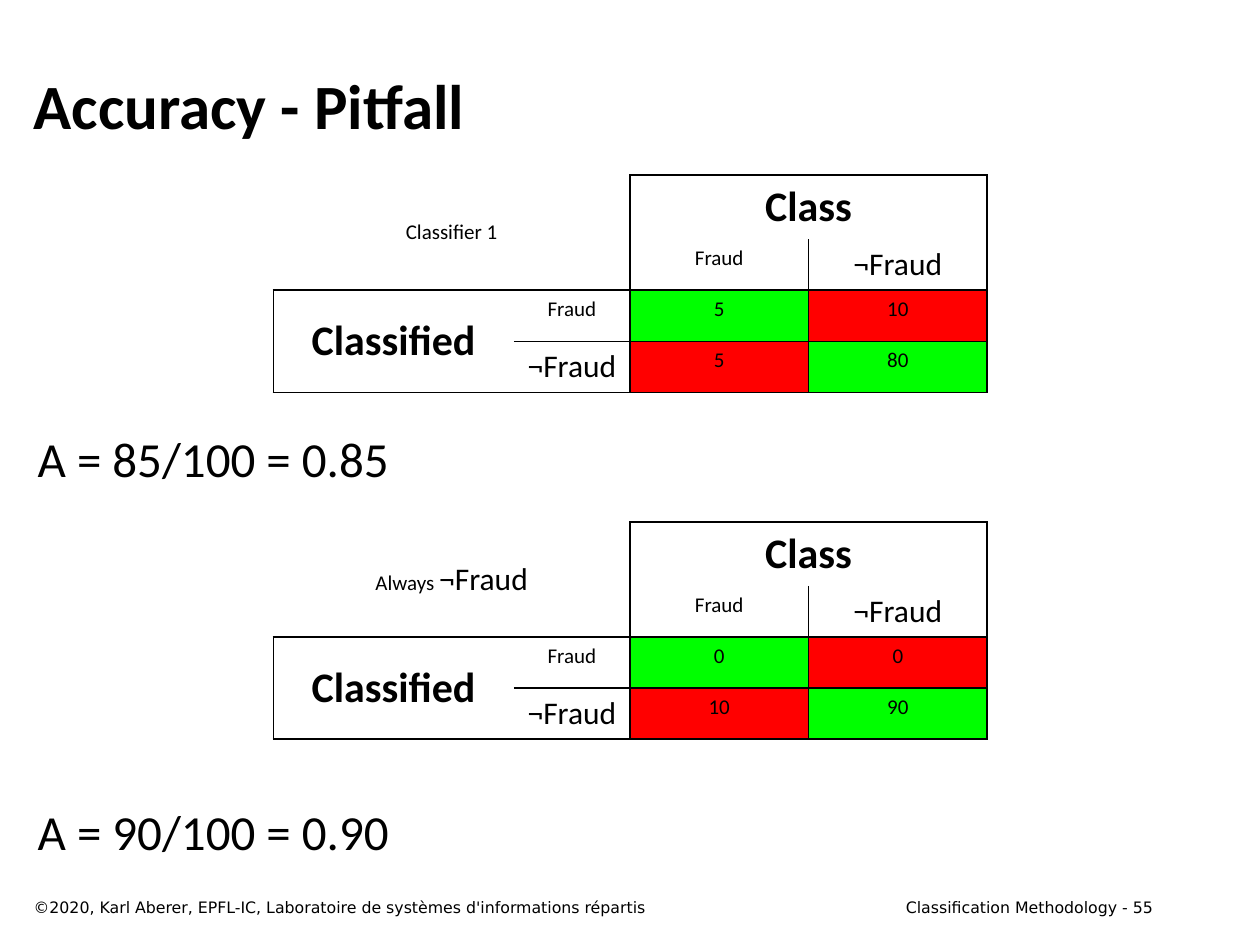
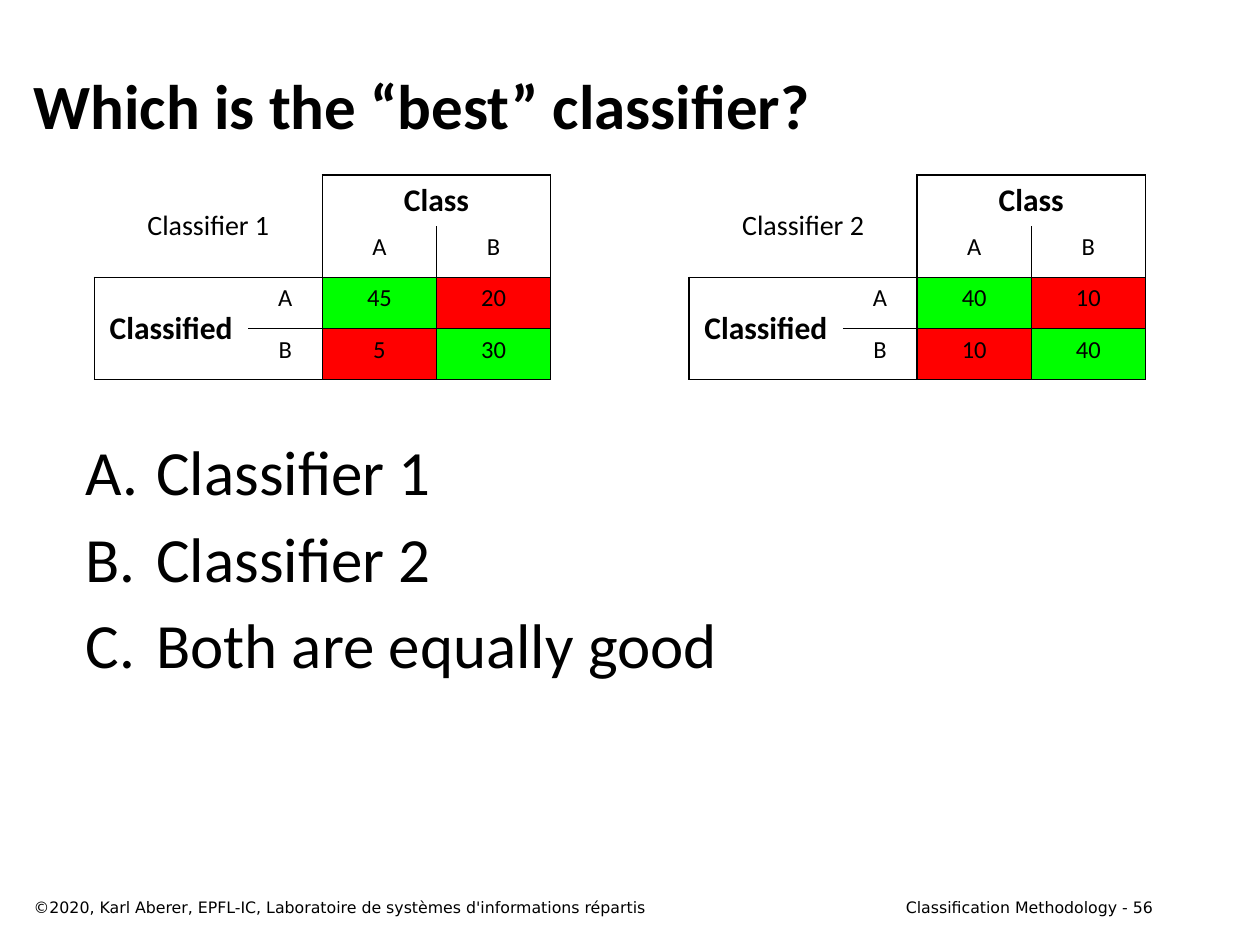
from dataclasses import dataclass
from typing import Any

from lxml.etree import SubElement
from pptx import Presentation
from pptx.dml.color import RGBColor
from pptx.enum.text import MSO_VERTICAL_ANCHOR as Anchor, PP_PARAGRAPH_ALIGNMENT as Align
from pptx.oxml.ns import qn
from pptx.util import Cm, Pt

BLACK = RGBColor(0x00, 0x00, 0x00)
GREEN = RGBColor(0x00, 0xFF, 0x00)
RED = RGBColor(0xFF, 0x00, 0x00)

TITLE_FORMAT = {"name": "Calibri", "size": Pt(36), "bold": True}
RESULT_FORMAT = {"name": "Calibri", "size": Pt(28)}
CHOICE_FORMAT = {"name": "Calibri", "size": Pt(36)}
FOOTER_FORMAT = {"name": "DejaVu Sans", "size": Pt(9)}

COPYRIGHT = "©2020, Karl Aberer, EPFL-IC, Laboratoire de systèmes d'informations répartis"
BLANK_LAYOUT = 6
ROW_HEIGHT = 1.03
NEGATION = "¬"
BORDER_SIDES = (
    ("rb", "rb", "ltr", "tr"),
    ("b", "rb", "lrb", "lrb"),
    ("ltb", "trb", "lrtb", "lrtb"),
    ("lb", "trb", "lrtb", "lrtb"),
)


@dataclass(frozen=True)
class Box:
    """Position and size in centimetres."""

    left: float
    top: float
    width: float
    height: float

    def lengths(self) -> tuple[Cm, ...]:
        """Return the four lengths for a shape call."""
        return tuple(Cm(value) for value in (self.left, self.top, self.width, self.height))


@dataclass(frozen=True)
class MatrixStyle:
    """Column widths, first row height and text sizes of a confusion matrix."""

    widths: tuple[float, ...]
    header_height: float
    name_size: int
    heading_size: int
    label_size: int
    negated_size: int


@dataclass(frozen=True)
class Matrix:
    """One classifier's confusion matrix."""

    name: str
    left: float
    top: float
    labels: tuple[str, str]
    counts: tuple[tuple[int, int], tuple[int, int]]
    style: MatrixStyle


TITLE_BOX = Box(0.43, 0.84, 23.06, 2.54)
COPYRIGHT_BOX = Box(0.43, 17.98, 16.31, 0.64)
PAGE_BOX = Box(17.7, 17.98, 5.79, 0.64)
CHOICES_BOX = Box(0.51, 8.59, 23.06, 9.1)

LARGE = MatrixStyle((4.85, 2.34, 3.6, 3.6), 1.29, 12, 24, 12, 18)
SMALL = MatrixStyle((3.1, 1.5, 2.3, 2.3), ROW_HEIGHT, 16, 18, 14, 14)

FRAUD_LABELS = ("Fraud", "¬Fraud")
PITFALL_MATRICES = (
    Matrix("Classifier 1", 5.51, 3.53, FRAUD_LABELS, ((5, 10), (5, 80)), LARGE),
    Matrix("Always ¬Fraud", 5.51, 10.52, FRAUD_LABELS, ((0, 0), (10, 90)), LARGE),
)
CHOICE_MATRICES = (
    Matrix("Classifier 1", 1.9, 3.53, ("A", "B"), ((45, 20), (5, 30)), SMALL),
    Matrix("Classifier 2", 13.89, 3.53, ("A", "B"), ((40, 10), (10, 40)), SMALL),
)
RESULTS = (("A = 85/100 = 0.85", 8.51), ("A = 90/100 = 0.90", 16.03))
CHOICES = ("Classifier 1", "Classifier 2", "Both are equally good")


def apply_format(target: Any, values: dict[str, Any]) -> None:
    """Set each named attribute on the target."""
    for name, value in values.items():
        setattr(target, name, value)


def add_run(paragraph: Any, text: str, font_format: dict[str, Any]) -> None:
    """Append a black run in the given format."""
    run = paragraph.add_run()
    run.text = text
    apply_format(run.font, font_format)
    run.font.color.rgb = BLACK


def add_text(slide: Any, box: Box, text: str, font_format: dict[str, Any],
             align: Align = Align.LEFT, anchor: Anchor = Anchor.TOP) -> None:
    """Add a wrapped text box with one paragraph."""
    frame = slide.shapes.add_textbox(*box.lengths()).text_frame
    apply_format(frame, {"word_wrap": True, "vertical_anchor": anchor})
    paragraph = frame.paragraphs[0]
    paragraph.alignment = align
    add_run(paragraph, text, font_format)


def add_choices(slide: Any, choices: tuple[str, ...]) -> None:
    """Add the lettered answers."""
    frame = slide.shapes.add_textbox(*CHOICES_BOX.lengths()).text_frame
    frame.word_wrap = True
    for index, choice in enumerate(choices):
        paragraph = frame.add_paragraph() if index else frame.paragraphs[0]
        properties = paragraph._p.get_or_add_pPr()
        properties.set("marL", str(Cm(2.39)))
        properties.set("indent", str(Cm(-1.42)))
        if index:
            paragraph.space_before = Pt(6.4)
        SubElement(properties, qn("a:buFont"), typeface="Calibri")
        SubElement(properties, qn("a:buAutoNum"), type="alphaUcPeriod")
        add_run(paragraph, choice, CHOICE_FORMAT)


def set_borders(cell: Any, sides: str) -> None:
    """Draw the listed sides of a cell and clear the others."""
    properties = cell._tc.get_or_add_tcPr()
    for side in "lrtb":
        line = SubElement(properties, qn(f"a:ln{side.upper()}"), w=str(Pt(1)))
        if side in sides:
            fill = SubElement(line, qn("a:solidFill"))
            SubElement(fill, qn("a:srgbClr"), val=str(BLACK))
        else:
            SubElement(line, qn("a:noFill"))


def fill_cell(cell: Any, text: str, size: int, negated_size: int,
              bold: bool = False, anchor: Anchor = Anchor.TOP) -> None:
    """Write centred text, giving a negated part its own size."""
    cell.vertical_anchor = anchor
    paragraph = cell.text_frame.paragraphs[0]
    paragraph.alignment = Align.CENTER
    plain, sign, rest = text.partition(NEGATION)
    for part, part_size in ((plain, size), (sign + rest, negated_size)):
        if part:
            add_run(paragraph, part, {"name": "Calibri", "size": Pt(part_size), "bold": bold})


def add_matrix(slide: Any, matrix: Matrix) -> None:
    """Add a confusion matrix as a table."""
    style = matrix.style
    heights = (style.header_height,) + (ROW_HEIGHT,) * 3
    box = Box(matrix.left, matrix.top, sum(style.widths), sum(heights))
    table = slide.shapes.add_table(4, 4, *box.lengths()).table
    apply_format(table, {"first_row": False, "horz_banding": False})
    for column, width in zip(table.columns, style.widths):
        column.width = Cm(width)
    for row, height in zip(table.rows, heights):
        row.height = Cm(height)
    for row, row_sides in enumerate(BORDER_SIDES):
        for column, sides in enumerate(row_sides):
            cell = table.cell(row, column)
            set_borders(cell, sides)
            cell.fill.background()

    headings = (
        ((0, 0), (1, 1), matrix.name, style.name_size, False),
        ((0, 2), (0, 3), "Class", style.heading_size, True),
        ((2, 0), (3, 0), "Classified", style.heading_size, True),
    )
    for first, last, text, size, bold in headings:
        cell = table.cell(*first)
        cell.merge(table.cell(*last))
        fill_cell(cell, text, size, style.negated_size, bold, Anchor.MIDDLE)

    for index, label in enumerate(matrix.labels):
        for position in ((1, index + 2), (index + 2, 1)):
            fill_cell(table.cell(*position), label, style.label_size, style.negated_size)
        for column, count in enumerate(matrix.counts[index]):
            cell = table.cell(index + 2, column + 2)
            fill_cell(cell, str(count), style.label_size, style.negated_size)
            cell.fill.solid()
            cell.fill.fore_color.rgb = GREEN if index == column else RED


def add_slide(presentation: Any, title: str, number: int, matrices: tuple[Matrix, ...]) -> Any:
    """Add a slide with its title, footers and matrices."""
    slide = presentation.slides.add_slide(presentation.slide_layouts[BLANK_LAYOUT])
    add_text(slide, PAGE_BOX, f"Classification Methodology - {number}", FOOTER_FORMAT, Align.RIGHT)
    add_text(slide, TITLE_BOX, title, TITLE_FORMAT, anchor=Anchor.MIDDLE)
    add_text(slide, COPYRIGHT_BOX, COPYRIGHT, FOOTER_FORMAT)
    for matrix in matrices:
        add_matrix(slide, matrix)
    return slide


def main() -> None:
    """Build and save the presentation."""
    presentation = Presentation()
    apply_format(presentation, {"slide_width": Cm(25.4), "slide_height": Cm(19.05)})
    pitfall = add_slide(presentation, "Accuracy - Pitfall", 55, PITFALL_MATRICES)
    for text, top in RESULTS:
        add_text(pitfall, Box(0.51, top, 23.06, 1.4), text, RESULT_FORMAT)
    question = add_slide(presentation, "Which is the “best” classifier?", 56, CHOICE_MATRICES)
    add_choices(question, CHOICES)
    presentation.save("out.pptx")


if __name__ == "__main__":
    main()
